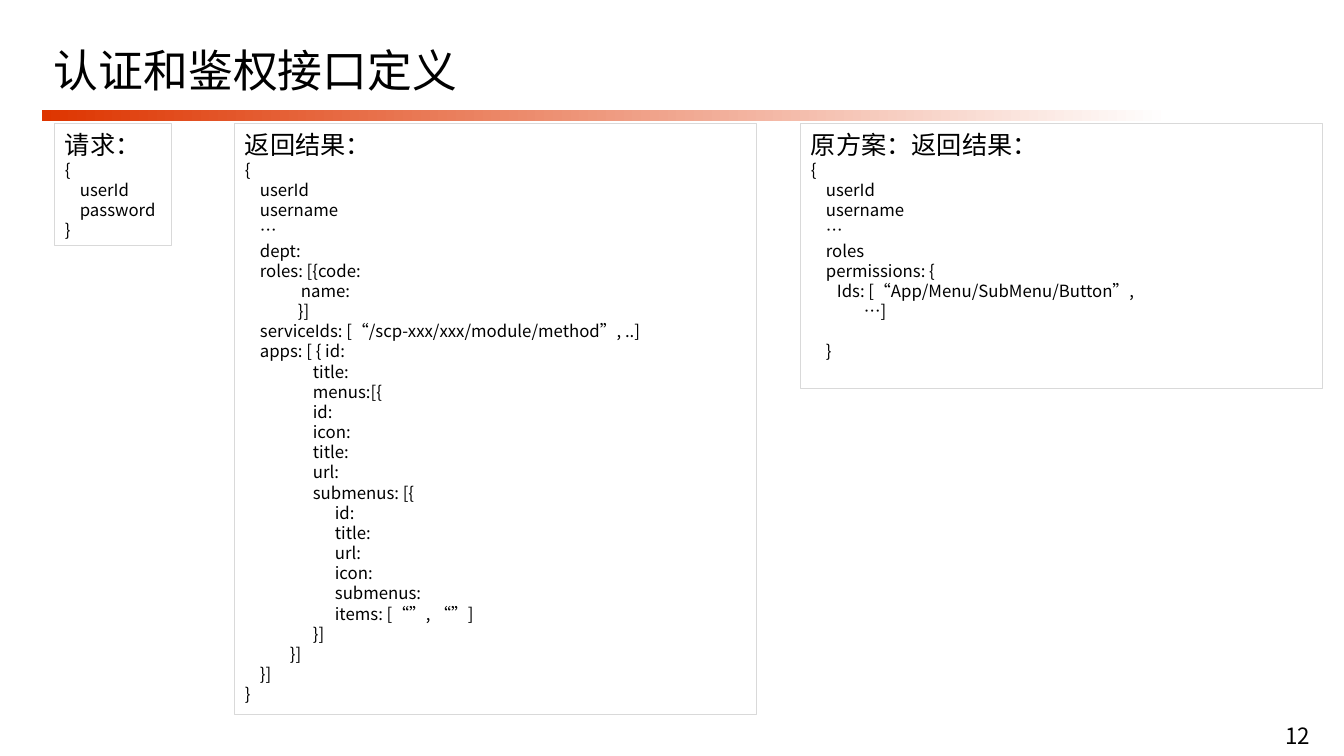
from lxml import etree
from pptx import Presentation
from pptx.dml.color import RGBColor
from pptx.enum.shapes import MSO_SHAPE
from pptx.enum.text import MSO_ANCHOR, PP_ALIGN
from pptx.oxml.ns import qn
from pptx.util import Emu, Pt

RECT = MSO_SHAPE.RECTANGLE
MIDDLE = MSO_ANCHOR.MIDDLE
LEFT, CENTER = PP_ALIGN.LEFT, PP_ALIGN.CENTER

FONT = "Noto Sans CJK SC"
COLORS = {"text": "000000", "border": "D9D9D9", "bar": "DE3500", "paper": "FFFFFF"}
EMU_PER_PX = 914400 / 100.8
SLIDE_W, SLIDE_H = 1344, 756
PANEL_TOP = 124
HEAD_SIZE, CODE_SIZE = 18, 12
HEAD_PITCH, CODE_PITCH = 22, 14.4

TITLE = "认证和鉴权接口定义"
PAGE = "12"

# Indents of the code lines, in pixels
FIELD, PERM, CLOSE, ROLE, APP, MENU, SUB = 15, 26, 45, 56, 68, 68, 90
LIST_END = 53

# Each panel: left, width, height, heading, lines of (indent, text)
PANELS = [
    (55, 117, 122, "请求：", [
        (0, "{"), (FIELD, "userId"), (FIELD, "password"), (0, "}"),
    ]),
    (235, 522, 591, "返回结果：", [
        (0, "{"), (FIELD, "userId"), (FIELD, "username"), (FIELD, "…"),
        (FIELD, "dept:"), (FIELD, "roles: [{code:"),
        (ROLE, "name:"), (LIST_END, "}]"),
        (FIELD, "serviceIds: [“/scp-xxx/xxx/module/method”, ..]"),
        (FIELD, "apps: [ { id:"), (APP, "title:"),
        (MENU, "menus:[{\vid:"), (MENU, "icon:"), (MENU, "title:"),
        (MENU, "url:"), (MENU, "submenus: [{"),
        (SUB, "id:"), (SUB, "title:"), (SUB, "url:"), (SUB, "icon:"),
        (SUB, "submenus:"), (SUB, "items: [“”, “”]"),
        (MENU, "}]"), (CLOSE, "}]"), (FIELD, "}]"), (0, "}"),
    ]),
    (801, 522, 265, "原方案：返回结果：", [
        (0, "{"), (FIELD, "userId"), (FIELD, "username"), (FIELD, "…"),
        (FIELD, "roles"), (FIELD, "permissions: {"),
        (PERM, "Ids: [“App/Menu/SubMenu/Button”,"),
        (LIST_END, "…]"), (FIELD, "}"),
    ]),
]
# (panel, line) pairs that stand one line further down
GAPS = {(2, 8)}


def px(*lengths):
    """Turn pixel lengths into EMU."""
    return [Emu(round(n * EMU_PER_PX)) for n in lengths]


def rgb(name):
    """Look up a colour by its role."""
    return RGBColor.from_string(COLORS[name])


def write(p, text, size, align=LEFT, spacing=None, indent=0):
    """Fill a paragraph with text in the slide's font."""
    p.text = text
    p.alignment = align
    p.line_spacing = spacing
    p.font.size = Pt(size)
    p.font.name = FONT
    p.font.color.rgb = rgb("text")
    props = p._p.get_or_add_pPr()
    if indent:
        props.set("marL", str(px(indent)[0]))
        props.set("indent", "0")
    etree.SubElement(props.find(qn("a:defRPr")), qn("a:ea"), typeface=FONT)


def add_label(slide, box, text, size, align=LEFT, spacing=None):
    """Add a vertically centred one-line text box."""
    tf = slide.shapes.add_textbox(*px(*box)).text_frame
    tf.word_wrap = True
    tf.vertical_anchor = MIDDLE
    write(tf.paragraphs[0], text, size, align, spacing)


def add_rect(slide, box):
    """Add a rectangle without a shadow."""
    sp = slide.shapes.add_shape(RECT, *px(*box))
    sp.shadow.inherit = False
    return sp


def add_bar(slide):
    """Add the fading bar under the title."""
    sp = add_rect(slide, (42, 110, 1128, 11))
    sp.line.fill.background()
    sp.fill.gradient()
    sp.fill.gradient_angle = 0
    for stop, name, place in zip(sp.fill.gradient_stops, ("bar", "paper"), (0, 1)):
        stop.color.rgb = rgb(name)
        stop.position = place


def add_panel(slide, number, left, width, height, heading, lines):
    """Add a bordered panel with a heading and indented code lines."""
    sp = add_rect(slide, (left, PANEL_TOP, width, height))
    sp.fill.background()
    sp.line.color.rgb = rgb("border")
    sp.line.width = Pt(0.75)
    tf = sp.text_frame
    tf.word_wrap = True
    tf.vertical_anchor = MSO_ANCHOR.TOP
    write(tf.paragraphs[0], heading, HEAD_SIZE, spacing=Pt(HEAD_PITCH))
    for row, (indent, text) in enumerate(lines):
        p = tf.add_paragraph()
        write(p, text, CODE_SIZE, spacing=Pt(CODE_PITCH), indent=indent)
        if (number, row) in GAPS:
            p.space_before = Pt(CODE_PITCH)


prs = Presentation()
prs.slide_width, prs.slide_height = px(SLIDE_W, SLIDE_H)
slide = prs.slides.add_slide(prs.slide_layouts[6])

add_label(slide, (1250, 717, 95, 37), PAGE, 16, CENTER)
add_bar(slide)
add_label(slide, (44, 31, 956, 85), TITLE, 32, spacing=0.9)
for number, panel in enumerate(PANELS):
    add_panel(slide, number, *panel)

prs.save("out.pptx")
